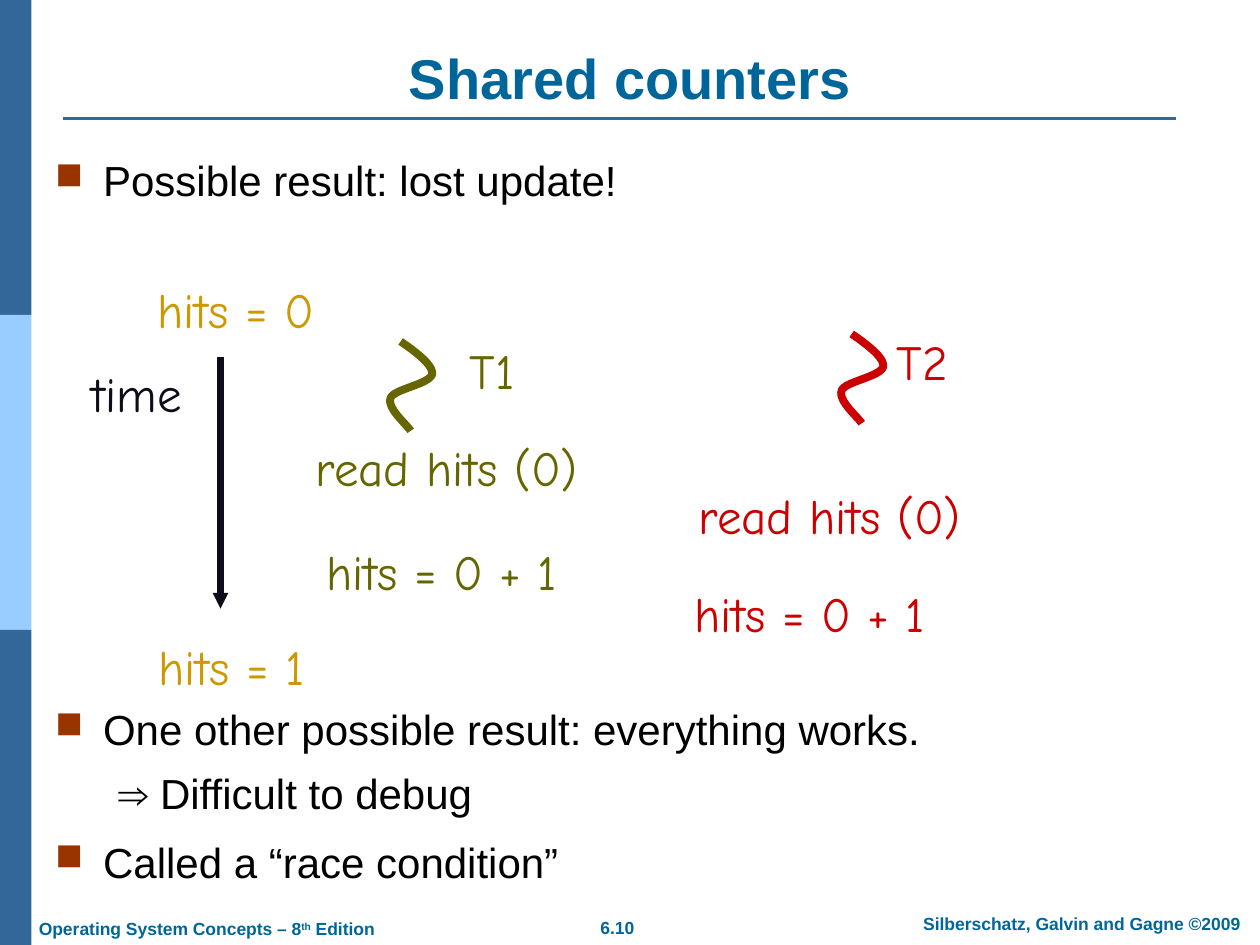
"""Build the slide on shared counters and lost updates."""
from lxml import etree
from pptx import Presentation
from pptx.dml.color import RGBColor
from pptx.enum.shapes import MSO_CONNECTOR, MSO_SHAPE
from pptx.enum.text import MSO_ANCHOR, MSO_AUTO_SIZE, PP_ALIGN
from pptx.oxml.ns import qn
from pptx.util import Inches, Pt

LEFT, MID = PP_ALIGN.LEFT, PP_ALIGN.CENTER
TOP, CENTRE, BASE = MSO_ANCHOR.TOP, MSO_ANCHOR.MIDDLE, MSO_ANCHOR.BOTTOM
RECT, LINE, FIXED = MSO_SHAPE.RECTANGLE, MSO_CONNECTOR.STRAIGHT, MSO_AUTO_SIZE.NONE

WIDE, HIGH = 10, 7.5
BLUE, SKY, TEAL = "336699", "99CCFF", "006699"
OLIVE, RED, GOLD, INK = "666600", "CC0000", "CC9900", "0F0C19"

BANDS = [BLUE, SKY, BLUE]
TITLE = "Shared counters"
# (text, bulleted, space before, line spacing)
POINTS = [
    ("Possible result: lost update!", True, 0, 1),
    ("One other possible result: everything works.", True, 285, 1),
    ("⇒ Difficult to debug", False, 10.5, 0.9),
    ("Called a “race condition”", True, 10.5, 1),
]
LABELS = [
    ("hits = 0", GOLD, 1.15, 2.17, 1.44),
    ("time", INK, 0.63, 2.83, 0.91),
    ("hits = 1", GOLD, 1.16, 5, 1.36),
    ("T1", OLIVE, 3.63, 2.65, 0.55),
    ("read hits (0)", OLIVE, 2.4, 3.42, 2.29),
    ("hits = 0 + 1", OLIVE, 2.49, 4.25, 2.03),
    ("T2", RED, 7.02, 2.58, 0.6),
    ("read hits (0)", RED, 5.44, 3.8, 2.29),
    ("hits = 0 + 1", RED, 5.41, 4.58, 2.03),
]
FOOTS = [
    ([("Operating System Concepts – 8", 0), ("th", 30000), (" Edition", 0)],
     LEFT, (0.21, 7.24, 2.86, 0.27)),
    ([("6.10", 0)], MID, (4.41, 7.23, 0.98, 0.27)),
    ([("Silberschatz, Galvin and Gagne ©2009", 0)], MID, (7.1, 7.2, 2.97, 0.27)),
]
THREADS = [(OLIVE, 3.07, 2.71), (RED, 6.65, 2.65)]
WAVE = [(0.11, 0), (0.24, 0.09), (0.37, 0.19), (0.36, 0.26),
        (0.34, 0.34), (0.05, 0.38), (0.03, 0.45),
        (0, 0.53), (0.16, 0.66), (0.19, 0.71)]
STEPS = 16


def rgb(code):
    """Turn a hex string into a colour."""
    return RGBColor.from_string(code)


def style(obj, **vals):
    """Set each given attribute."""
    for key, val in vals.items():
        setattr(obj, key, val)


def ink(font, code, size, name="Arial", bold=False):
    """Set the look of a font."""
    style(font, size=Pt(size), name=name, bold=bold)
    font.color.rgb = rgb(code)


def box(slide, at, anchor=TOP, wrap=False):
    """Add a text box and return its frame."""
    frame = slide.shapes.add_textbox(*map(Inches, at)).text_frame
    style(frame, word_wrap=wrap, vertical_anchor=anchor, auto_size=FIXED)
    return frame


def bullet(para):
    """Give a paragraph a square brown bullet."""
    props = para._p.get_or_add_pPr()
    tint = etree.SubElement(props, qn("a:buClr"))
    etree.SubElement(tint, qn("a:srgbClr"), val="993300")
    etree.SubElement(props, qn("a:buSzPct"), val="90000")
    etree.SubElement(props, qn("a:buChar"), char="■")


def rule(slide, start, end, code, width, head=False):
    """Draw a straight line, with an arrowhead if asked."""
    line = slide.shapes.add_connector(LINE, *map(Inches, start + end))
    line.line.color.rgb = rgb(code)
    line.line.width = Pt(width)
    props = line._element.spPr
    if head:
        etree.SubElement(props.find(qn("a:ln")), qn("a:tailEnd"),
                         type="triangle", w="sm", len="sm")
    etree.SubElement(props, qn("a:effectLst"))


def curve(pts):
    """Sample a chain of cubic curves."""
    out = [pts[0]]
    for i in range(0, len(pts) - 1, 3):
        for step in range(1, STEPS + 1):
            t = step / STEPS
            u = 1 - t
            mix = (u ** 3, 3 * u * u * t, 3 * u * t * t, t ** 3)
            out.append(tuple(sum(m * p[k] for m, p in zip(mix, pts[i:i + 4]))
                             for k in (0, 1)))
    return out


def squiggle(slide, code, left, top):
    """Draw the wavy mark of a thread."""
    pts = [(Inches(left + x), Inches(top + y)) for x, y in curve(WAVE)]
    pen = slide.shapes.build_freeform(*pts[0])
    pen.add_line_segments(pts[1:], close=False)
    shape = pen.convert_to_shape()
    shape.shadow.inherit = False
    shape.fill.background()
    shape.line.color.rgb = rgb(code)
    shape.line.width = Pt(4.5)


def frame_page(slide):
    """Draw the side bands, title rule, title and footers."""
    tall = HIGH / len(BANDS)
    for row, code in enumerate(BANDS):
        band = slide.shapes.add_shape(
            RECT, *map(Inches, (0, row * tall, WIDE / 40, tall)))
        band.shadow.inherit = False
        band.fill.solid()
        band.fill.fore_color.rgb = rgb(code)
        band.line.fill.background()
    rule(slide, (0.5, 0.94), (9.33, 0.94), BLUE, 1.5)

    title = slide.shapes.title
    style(title, left=Inches(0.5), top=Inches(0.3),
          width=Inches(9), height=Inches(0.63))
    frame = title.text_frame
    style(frame, text=TITLE, vertical_anchor=BASE, auto_size=FIXED)
    frame.paragraphs[0].alignment = MID
    ink(frame.paragraphs[0].runs[0].font, TEAL, 32, bold=True)

    for runs, align, at in FOOTS:
        para = box(slide, at).paragraphs[0]
        para.alignment = align
        for text, lift in runs:
            run = para.add_run()
            run.text = text
            ink(run.font, TEAL, 10, bold=True)
            if lift:
                run.font._element.set("baseline", str(lift))


def main():
    """Build and save the slide."""
    deck = Presentation()
    style(deck, slide_width=Inches(WIDE), slide_height=Inches(HIGH))
    slide = deck.slides.add_slide(deck.slide_layouts[5])
    frame_page(slide)

    body = box(slide, (0.34, 1.18, 9.66, 5.86), wrap=True)
    for i, (text, marked, gap, space) in enumerate(POINTS):
        para = body.add_paragraph() if i else body.paragraphs[0]
        style(para, text=text, space_before=Pt(gap), line_spacing=float(space))
        left, hang = (0.38, -0.38) if marked else (0.81, -0.31)
        props = para._p.get_or_add_pPr()
        props.set("marL", str(Inches(left)))
        props.set("indent", str(Inches(hang)))
        if marked:
            bullet(para)
        ink(para.runs[0].font, "000000", 24)

    for thread in THREADS:
        squiggle(slide, *thread)
    for text, code, left, top, width in LABELS:
        para = box(slide, (left, top, width, 0.57), CENTRE).paragraphs[0]
        style(para, text=text, alignment=MID)
        ink(para.runs[0].font, code, 28, "Comic Neue")
    rule(slide, (1.75, 2.83), (1.75, 4.83), INK, 4.5, head=True)
    deck.save("out.pptx")


if __name__ == "__main__":
    main()
